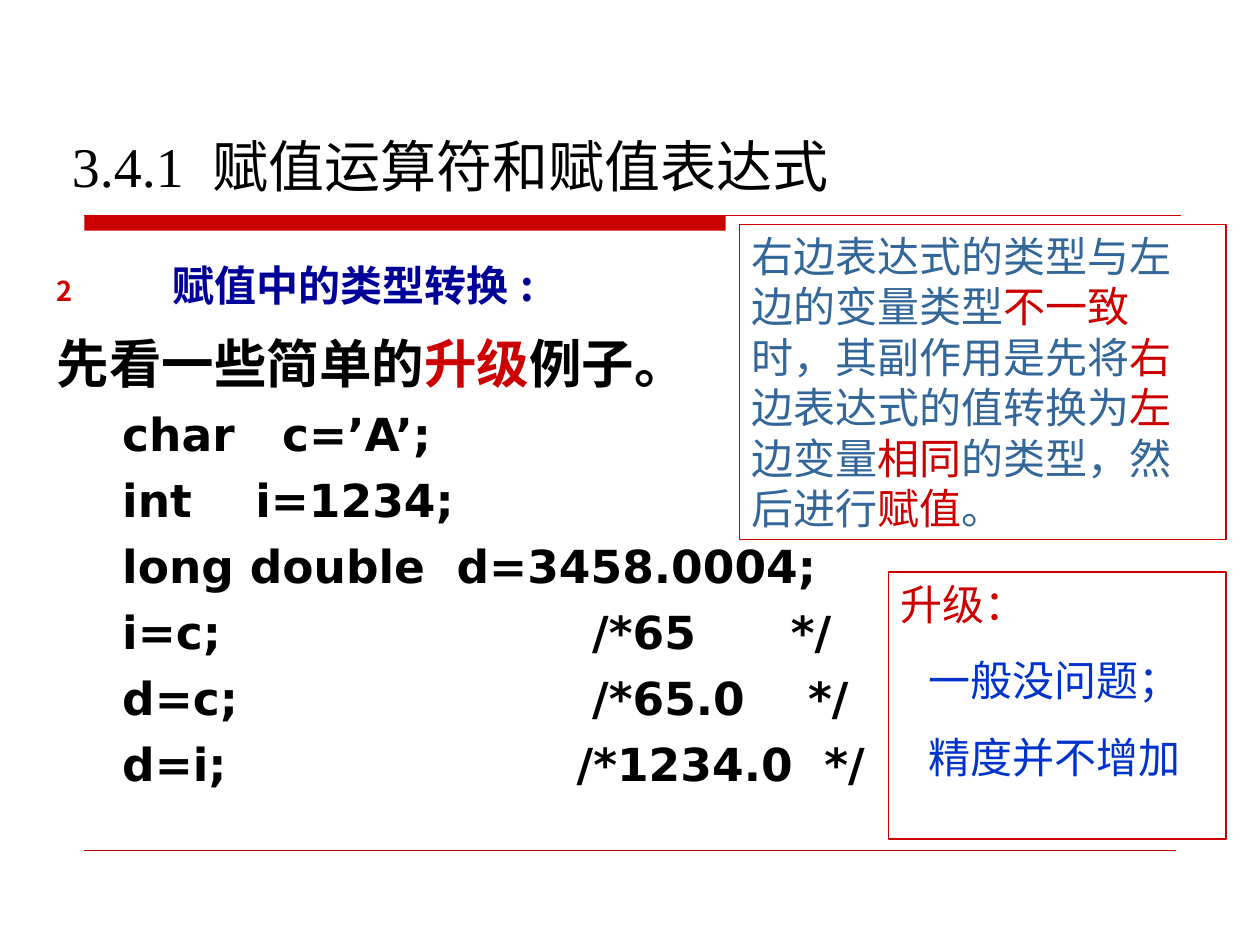
from lxml.etree import SubElement
from pptx import Presentation
from pptx.dml.color import RGBColor
from pptx.enum.shapes import MSO_CONNECTOR, MSO_SHAPE
from pptx.enum.text import MSO_ANCHOR, MSO_AUTO_SIZE, PP_ALIGN
from pptx.oxml.ns import qn
from pptx.util import Inches, Pt

RED, BLACK, NAVY, BLUE, STEEL = "CC0000", "000000", "000099", "0033CC", "336699"
SERIF, SANS, CHINESE = "Times New Roman", "DejaVu Sans", "Noto Sans CJK SC"

INTRO = [("先看一些简单的", BLACK), ("升级", RED), ("例子。", BLACK)]
CODE_LINES = [
    "char   c=’A’;",
    "int    i=1234;",
    "long double  d=3458.0004;",
    "i=c;" + "\t" * 6 + "/*65      */",
    "d=c;" + "\t" * 6 + "/*65.0    */",
    "d=i;" + "\t" * 5 + "   /*1234.0  */",
]
RULE_TEXT = [
    ("右边表达式的类型与左边的变量类型", STEEL), ("不一致", RED),
    ("时，其副作用是先将", STEEL), ("右", RED),
    ("边表达式的值转换为", STEEL), ("左", RED),
    ("边变量", STEEL), ("相同", RED),
    ("的类型，然后进行", STEEL), ("赋值", RED), ("。", STEEL),
]
UPGRADE_HEADING = [("升级：", RED)]
UPGRADE_POINTS = ["一般没问题；", "精度并不增加"]


def color(value):
    return RGBColor.from_string(value)


def place(shape, left, top, width, height):
    shape.left, shape.top = Inches(left), Inches(top)
    shape.width, shape.height = Inches(width), Inches(height)


def prepare_frame(shape):
    frame = shape.text_frame
    frame.word_wrap = True
    frame.auto_size = MSO_AUTO_SIZE.NONE
    frame.vertical_anchor = MSO_ANCHOR.TOP
    return frame


def next_paragraph(frame):
    first = frame.paragraphs[0]
    return frame.add_paragraph() if first.runs else first


def format_paragraph(paragraph, line_height, before=0, margin=0, indent=0,
                     number=None):
    properties = paragraph._p.get_or_add_pPr()
    properties.set("marL", str(Inches(margin)))
    properties.set("indent", str(Inches(indent)))
    properties.set("hangingPunct", "0")
    if number is None:
        SubElement(properties, qn("a:buNone"))
    else:
        bullet_color = SubElement(properties, qn("a:buClr"))
        SubElement(bullet_color, qn("a:srgbClr"), val=RED)
        SubElement(properties, qn("a:buSzPct"), val="65000")
        SubElement(properties, qn("a:buAutoNum"), type="arabicPlain",
                   startAt=str(number))
    paragraph.alignment = PP_ALIGN.LEFT
    paragraph.line_spacing = Pt(line_height)
    paragraph.space_before = Pt(before)


def add_run(paragraph, text, size, font, fill, bold=False):
    run = paragraph.add_run()
    run.text = text
    run.font.name = font
    run.font.size = Pt(size)
    run.font.bold = bold
    run.font.color.rgb = color(fill)
    SubElement(run._r.get_or_add_rPr(), qn("a:ea"), typeface=CHINESE)


def add_line(slide, left, top, width, weight):
    line = slide.shapes.add_connector(
        MSO_CONNECTOR.STRAIGHT, Inches(left), Inches(top),
        Inches(left + width), Inches(top))
    line.line.color.rgb = color(RED)
    line.line.width = Pt(weight)
    SubElement(line._element.spPr, qn("a:effectLst"))


def add_header_rule(slide, left, top, width, height):
    bar = slide.shapes.add_shape(
        MSO_SHAPE.RECTANGLE, Inches(left), Inches(top),
        Inches(width * 0.585), Inches(height))
    bar.shadow.inherit = False
    bar.fill.solid()
    bar.fill.fore_color.rgb = color(RED)
    bar.line.fill.background()
    add_line(slide, left, top, width, 0.75)


def fill_title(slide, left, top, width, height):
    title = slide.shapes.title
    place(title, left, top, width, height)
    paragraph = prepare_frame(title).paragraphs[0]
    format_paragraph(paragraph, 38.4)
    add_run(paragraph, "3.4.1  赋值运算符和赋值表达式", 32, SERIF, BLACK)


def fill_body(slide, left, top, width, height):
    body = slide.placeholders[1]
    place(body, left, top, width, height)
    frame = prepare_frame(body)

    heading = next_paragraph(frame)
    format_paragraph(heading, 46.8, margin=0.92, indent=-0.92, number=2)
    add_run(heading, "赋值中的类型转换", 24, CHINESE, NAVY, True)
    add_run(heading, " ", 30, SANS, BLACK)
    add_run(heading, ":", 24, CHINESE, NAVY, True)

    intro = next_paragraph(frame)
    format_paragraph(intro, 46.8)
    for text, fill in INTRO:
        add_run(intro, text, 30, SANS, fill, True)

    for line in CODE_LINES:
        code = next_paragraph(frame)
        code.level = 1
        format_paragraph(code, 31.2, before=6.5, margin=1.25, indent=-0.73)
        add_run(code, line, 26, SANS, BLACK, True)


def add_callout(slide, left, top, width, height, paragraphs):
    box = slide.shapes.add_shape(
        MSO_SHAPE.RECTANGLE, Inches(left), Inches(top),
        Inches(width), Inches(height))
    box.shadow.inherit = False
    box.fill.background()
    box.line.color.rgb = color(RED)
    box.line.width = Pt(0.75)
    frame = prepare_frame(box)
    for index, (margin, runs) in enumerate(paragraphs):
        paragraph = next_paragraph(frame)
        format_paragraph(paragraph, 28.8, before=15 if index else 0, margin=margin)
        for text, fill in runs:
            add_run(paragraph, text, 24, SERIF, fill)


def main():
    presentation = Presentation()
    presentation.slide_width, presentation.slide_height = Inches(10), Inches(7.5)
    slide = presentation.slides.add_slide(presentation.slide_layouts[1])
    add_header_rule(slide, 0.67, 1.71, 8.7, 0.12)
    add_line(slide, 0.67, 6.75, 8.66, 0.25)
    fill_body(slide, 0.35, 1.78, 9.29, 5.04)
    fill_title(slide, 0.47, 0.99, 6.5, 0.64)
    add_callout(slide, 5.87, 1.78, 3.86, 2.5, [(0, RULE_TEXT)])
    points = [(0.22, [(text, BLUE)]) for text in UPGRADE_POINTS]
    add_callout(slide, 7.05, 4.54, 2.68, 2.12, [(0, UPGRADE_HEADING)] + points)
    presentation.save("out.pptx")


if __name__ == "__main__":
    main()
